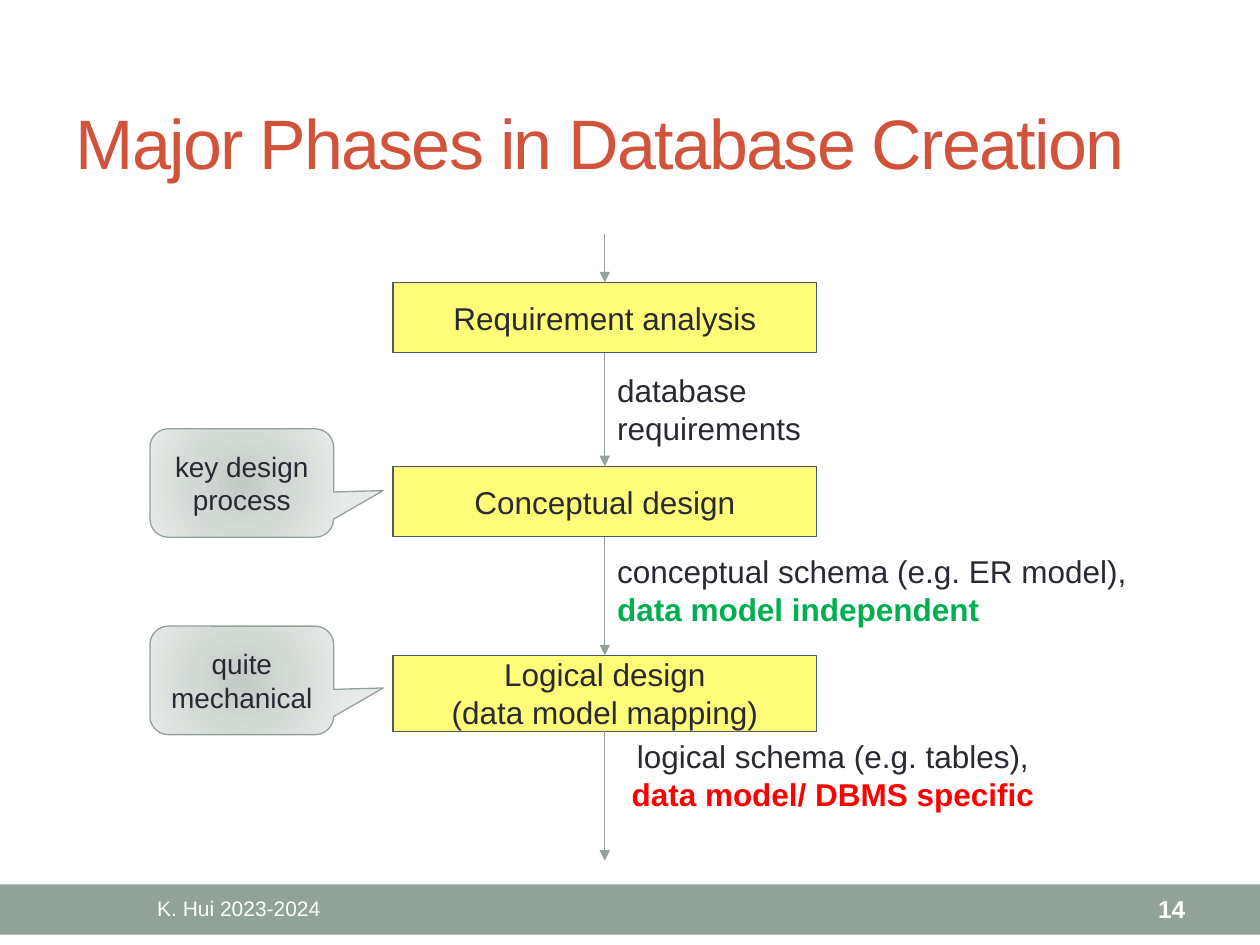
from lxml import etree
from pptx import Presentation
from pptx.dml.color import RGBColor
from pptx.enum.shapes import MSO_CONNECTOR, MSO_SHAPE
from pptx.enum.text import MSO_ANCHOR, MSO_AUTO_SIZE, PP_ALIGN
from pptx.oxml import parse_xml
from pptx.oxml.ns import nsdecls, qn
from pptx.util import Pt

RECTANGLE = MSO_SHAPE.RECTANGLE
CALLOUT = MSO_SHAPE.ROUNDED_RECTANGULAR_CALLOUT
STRAIGHT = MSO_CONNECTOR.STRAIGHT
TOP, MIDDLE = MSO_ANCHOR.TOP, MSO_ANCHOR.MIDDLE
LEFT, CENTER, RIGHT = PP_ALIGN.LEFT, PP_ALIGN.CENTER, PP_ALIGN.RIGHT

FONT = "Arial"
RUST = RGBColor(0xD2, 0x53, 0x3C)
SAGE = RGBColor(0x93, 0xA2, 0x99)
YELLOW = RGBColor(0xFF, 0xFD, 0x78)
SLATE = RGBColor(0x4C, 0x5A, 0x6A)
INK = RGBColor(0x29, 0x29, 0x34)
GREEN = RGBColor(0x00, 0xB0, 0x50)
RED = RGBColor(0xFF, 0x00, 0x00)
WHITE = RGBColor(0xFF, 0xFF, 0xFF)
CALLOUT_STOPS = [(0, RGBColor(0xC4, 0xCA, 0xC6)),
                 (45, RGBColor(0xD3, 0xDA, 0xD6)),
                 (100, RGBColor(0xE7, 0xEA, 0xE8))]

AXIS_X = 345.6  # centre of the flow
PHASE_WIDTH = 242
LINE_WIDTH = 0.75


def write_text(shape, *lines, size=18, color=INK, bold=False, align=LEFT,
               anchor=MIDDLE, emphasis=None, emphasis_color=None, spacing=None):
    """Write one paragraph per line; emphasis is a bold run after the last."""
    frame = shape.text_frame
    frame.word_wrap = True
    frame.auto_size = MSO_AUTO_SIZE.NONE
    frame.vertical_anchor = anchor
    for index, line in enumerate(lines):
        paragraph = frame.add_paragraph() if index else frame.paragraphs[0]
        paragraph.alignment = align
        parts = [(line, color, bold)]
        if emphasis and index == len(lines) - 1:
            parts.append((emphasis, emphasis_color, True))
        for text, run_color, run_bold in parts:
            run = paragraph.add_run()
            run.text = text
            run.font.name = FONT
            run.font.size = Pt(size)
            run.font.bold = run_bold
            run.font.color.rgb = run_color
            if spacing is not None:
                run.font._element.set("spc", str(int(spacing * 100)))


def add_label(slide, left, top, width, height, *lines, **style):
    label = slide.shapes.add_textbox(Pt(left), Pt(top), Pt(width), Pt(height))
    write_text(label, *lines, **style)


def add_block(slide, kind, left, top, width, height, fill=None, line=None):
    block = slide.shapes.add_shape(kind, Pt(left), Pt(top), Pt(width), Pt(height))
    block.shadow.inherit = False
    if fill is not None:
        block.fill.solid()
        block.fill.fore_color.rgb = fill
    if line is None:
        block.line.fill.background()
    else:
        block.line.color.rgb = line
        block.line.width = Pt(LINE_WIDTH)
    return block


def add_phase(slide, top, height, *lines):
    phase = add_block(slide, RECTANGLE, AXIS_X - PHASE_WIDTH / 2, top,
                      PHASE_WIDTH, height, YELLOW, SLATE)
    write_text(phase, *lines, align=CENTER)


def add_callout(slide, top, text):
    callout = add_block(slide, CALLOUT, 85.7, top, 105, 62, line=SAGE)
    for index, value in enumerate((0.77, 0.07, 0.17)):
        callout.adjustments[index] = value
    # Radial gradient
    stops = "".join(f'<a:gs pos="{position * 1000}"><a:srgbClr val="{color}"/></a:gs>'
                    for position, color in CALLOUT_STOPS)
    gradient = parse_xml(
        f'<a:gradFill {nsdecls("a")} rotWithShape="1"><a:gsLst>{stops}</a:gsLst>'
        '<a:path path="circle"><a:fillToRect l="100000" t="100000" r="100000" '
        'b="100000"/></a:path></a:gradFill>')
    callout._element.spPr.find(qn("a:prstGeom")).addnext(gradient)
    write_text(callout, text, size=16, align=CENTER)


def add_flow_arrow(slide, start, end):
    arrow = slide.shapes.add_connector(STRAIGHT, Pt(AXIS_X), Pt(start),
                                       Pt(AXIS_X), Pt(end))
    arrow.line.color.rgb = SAGE
    arrow.line.width = Pt(LINE_WIDTH)
    etree.SubElement(arrow.line._get_or_add_ln(), qn("a:tailEnd"), type="triangle")
    etree.SubElement(arrow._element.spPr, qn("a:effectLst"))


def add_title(slide, text):
    title = slide.shapes.title
    title.left, title.top, title.width, title.height = Pt(36), Pt(42), Pt(648), Pt(78)
    write_text(title, text, size=40, color=RUST, spacing=-1)


def add_footer(slide):
    add_block(slide, RECTANGLE, 0, 505.4, 720, 28.8, SAGE)
    add_label(slide, 36, 506, 201, 26, "K. Hui 2023-2024",
              size=12, color=WHITE, align=CENTER)
    add_label(slide, 600.5, 506, 84, 26, "14",
              size=14, color=WHITE, bold=True, align=RIGHT)


def main():
    presentation = Presentation()
    presentation.slide_width, presentation.slide_height = Pt(720), Pt(540)
    slide = presentation.slides.add_slide(presentation.slide_layouts[5])
    add_footer(slide)
    add_title(slide, "Major Phases in Database Creation")

    # Phases, with an arrow into each and one out of the last
    phases = [(161.3, 40.3, ["Requirement analysis"]),
              (266.4, 40.3, ["Conceptual design"]),
              (374.4, 43.5, ["Logical design", "(data model mapping)"])]
    arrow_start = 134
    for top, height, lines in phases:
        add_phase(slide, top, height, *lines)
        add_flow_arrow(slide, arrow_start, top)
        arrow_start = top + height
    add_flow_arrow(slide, arrow_start, 491.8)

    # Outputs of the phases
    add_label(slide, AXIS_X, 208.3, 155, 51, "database requirements", anchor=TOP)
    add_label(slide, AXIS_X, 311.8, 314.6, 51, "conceptual schema (e.g. ER model), ",
              emphasis="data model independent", emphasis_color=GREEN, anchor=TOP)
    add_label(slide, 342, 417.6, 268, 51, "logical schema (e.g. tables), ",
              emphasis="data model/ DBMS specific", emphasis_color=RED,
              align=CENTER, anchor=TOP)

    # Remarks
    add_callout(slide, 245, "key design process")
    add_callout(slide, 357.8, "quite mechanical")

    presentation.save("out.pptx")


if __name__ == "__main__":
    main()
